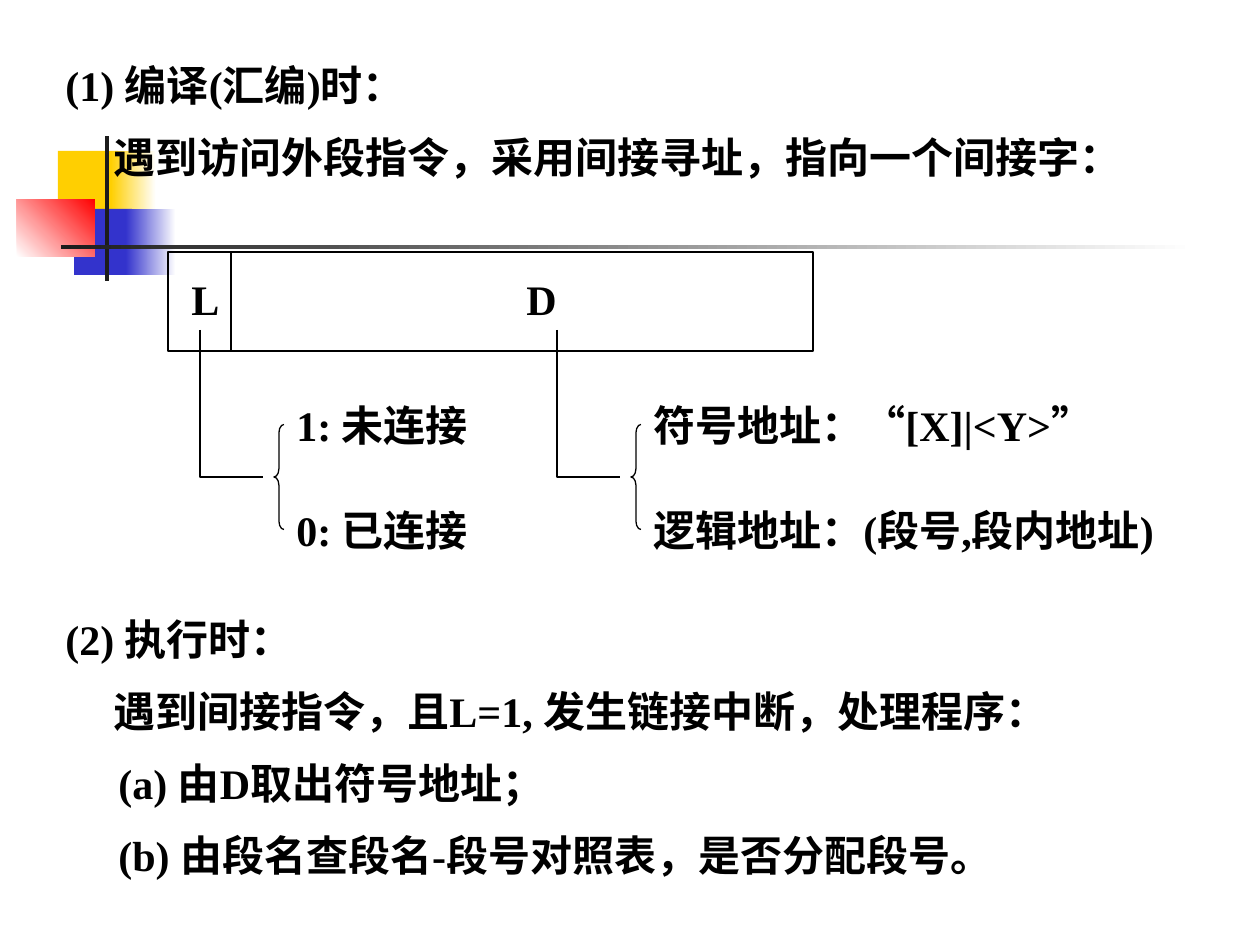
from pptx import Presentation
from pptx.dml.color import RGBColor
from pptx.enum.shapes import MSO_CONNECTOR, MSO_SHAPE
from pptx.enum.text import MSO_AUTO_SIZE
from pptx.oxml.ns import qn
from pptx.util import Emu, Pt

RECTANGLE, LEFT_BRACE = MSO_SHAPE.RECTANGLE, MSO_SHAPE.LEFT_BRACE
STRAIGHT = MSO_CONNECTOR.STRAIGHT
GROW = MSO_AUTO_SIZE.SHAPE_TO_FIT_TEXT

PX_PER_INCH = 126
BLACK, WHITE, DARK = "000000", "FFFFFF", "1C1C1C"
YELLOW, BLUE, RED = "FFCF01", "3333CC", "FF0000"

# left, top, width, height, colours (two make a gradient), angle
DECORATION = [
    (58, 151, 60, 66, [YELLOW], 0),
    (111, 151, 45, 66, [YELLOW, WHITE], 0),
    (74, 209, 58, 66, [BLUE], 0),
    (126, 209, 50, 66, [BLUE, WHITE], 0),
    (17, 199, 78, 58, [WHITE, RED], 45),
    (105, 136, 4, 145, [DARK], 0),
    (61, 245, 1134, 4, [DARK, WHITE], 0),
]

# Each line: indent, text
COMPILE_TIME = [
    (0, "(1) 编译(汇编)时："),
    (48, "遇到访问外段指令，采用间接寻址，指向一个间接字："),
]
RUN_TIME = [
    (0, "(2) 执行时："),
    (48, "遇到间接指令，且L=1, 发生链接中断，处理程序："),
    (53, "(a) 由D取出符号地址；"),
    (53, "(b) 由段名查段名-段号对照表，是否分配段号。"),
]
SECTIONS = [(53, 139, COMPILE_TIME), (607, 290, RUN_TIME)]

WORD_LEFT, WORD_TOP, WORD_WIDTH, WORD_HEIGHT = 168, 252, 645, 99
DIVIDER_X = 231
FIELDS = [(179, 42, "L"), (514, 84, "D")]

# Left end of the branch, then the width and text of its two meanings
BRANCHES = [
    (200, [(210, "1: 未连接"), (210, "0: 已连接")]),
    (557, [(483, "符号地址：“[X]|<Y>”"), (567, "逻辑地址：(段号,段内地址)")]),
]
BRANCH_TOP, BRANCH_WIDTH, BRANCH_HEIGHT = 330, 63, 147
BRACE_OFFSET, BRACE_WIDTH, BRACE_HEIGHT = 74, 10, 105
MEANING_OFFSET, MEANING_TOP = 84, 393
LABEL_HEIGHT = 63


def px(length):
    return Emu(round(length * 914400 / PX_PER_INCH))


def color(hex_value):
    return RGBColor.from_string(hex_value)


def outline(shape, points):
    shape.line.color.rgb = color(BLACK)
    shape.line.width = Pt(points)


def add_preset(shapes, kind, *box):
    shape = shapes.add_shape(kind, *map(px, box))
    shape.shadow.inherit = False
    return shape


def add_decoration(shapes, left, top, width, height, colors, angle):
    block = add_preset(shapes, RECTANGLE, left, top, width, height)
    block.line.fill.background()
    if len(colors) == 1:
        block.fill.solid()
        block.fill.fore_color.rgb = color(colors[0])
        return
    block.fill.gradient()
    block.fill.gradient_angle = angle
    for stop, hex_value in zip(block.fill.gradient_stops, colors):
        stop.color.rgb = color(hex_value)


def add_text(shapes, left, top, width, height, lines):
    frame = shapes.add_textbox(*map(px, (left, top, width, height))).text_frame
    frame.word_wrap = True
    frame.auto_size = GROW
    for number, (indent, text) in enumerate(lines):
        paragraph = frame.add_paragraph() if number else frame.paragraphs[0]
        if number:
            paragraph.space_before = Pt(12.5)
        if indent:
            paragraph._p.get_or_add_pPr().set("marL", str(px(indent)))
        run = paragraph.add_run()
        run.text = text
        run.font.name = "Times New Roman"
        run.font.size = Pt(24)
        run.font.bold = True
        run.font.color.rgb = color(BLACK)


def add_branch(shapes, left, meanings):
    """Group the elbow line, the brace and the two meanings of a field."""
    group = shapes.add_group_shape().shapes
    middle = BRANCH_TOP + BRANCH_HEIGHT
    builder = group.build_freeform(px(left), px(BRANCH_TOP))
    builder.add_line_segments(
        [(px(left), px(middle)), (px(left + BRANCH_WIDTH), px(middle))], close=False)
    elbow = builder.convert_to_shape()
    elbow.shadow.inherit = False
    brace = add_preset(group, LEFT_BRACE, left + BRACE_OFFSET,
                       middle - BRACE_HEIGHT / 2, BRACE_WIDTH, BRACE_HEIGHT)
    brace.adjustments[0] = 0.83
    for shape in (elbow, brace):
        shape.fill.background()
        outline(shape, 0.75)
    for row, (width, meaning) in enumerate(meanings):
        add_text(group, left + MEANING_OFFSET, MEANING_TOP + row * BRACE_HEIGHT,
                 width, LABEL_HEIGHT, [(0, meaning)])


def add_indirect_word(shapes):
    word = add_preset(shapes, RECTANGLE, WORD_LEFT, WORD_TOP, WORD_WIDTH, WORD_HEIGHT)
    word.fill.background()
    outline(word, 1.5)
    divider = shapes.add_connector(
        STRAIGHT, px(DIVIDER_X), px(WORD_TOP), px(DIVIDER_X), px(WORD_TOP + WORD_HEIGHT))
    outline(divider, 0.75)
    properties = divider._element.spPr
    properties.append(properties.makeelement(qn("a:effectLst"), {}))
    for left, width, field in FIELDS:
        add_text(shapes, left, 267, width, LABEL_HEIGHT, [(0, field)])


def main():
    deck = Presentation()
    deck.slide_width, deck.slide_height = px(1260), px(945)
    shapes = deck.slides.add_slide(deck.slide_layouts[6]).shapes
    for block in DECORATION:
        add_decoration(shapes, *block)
    for top, height, lines in SECTIONS:
        add_text(shapes, 53, top, 1166, height, lines)
    add_indirect_word(shapes)
    for left, meanings in BRANCHES:
        add_branch(shapes, left, meanings)
    deck.save("out.pptx")


if __name__ == "__main__":
    main()
